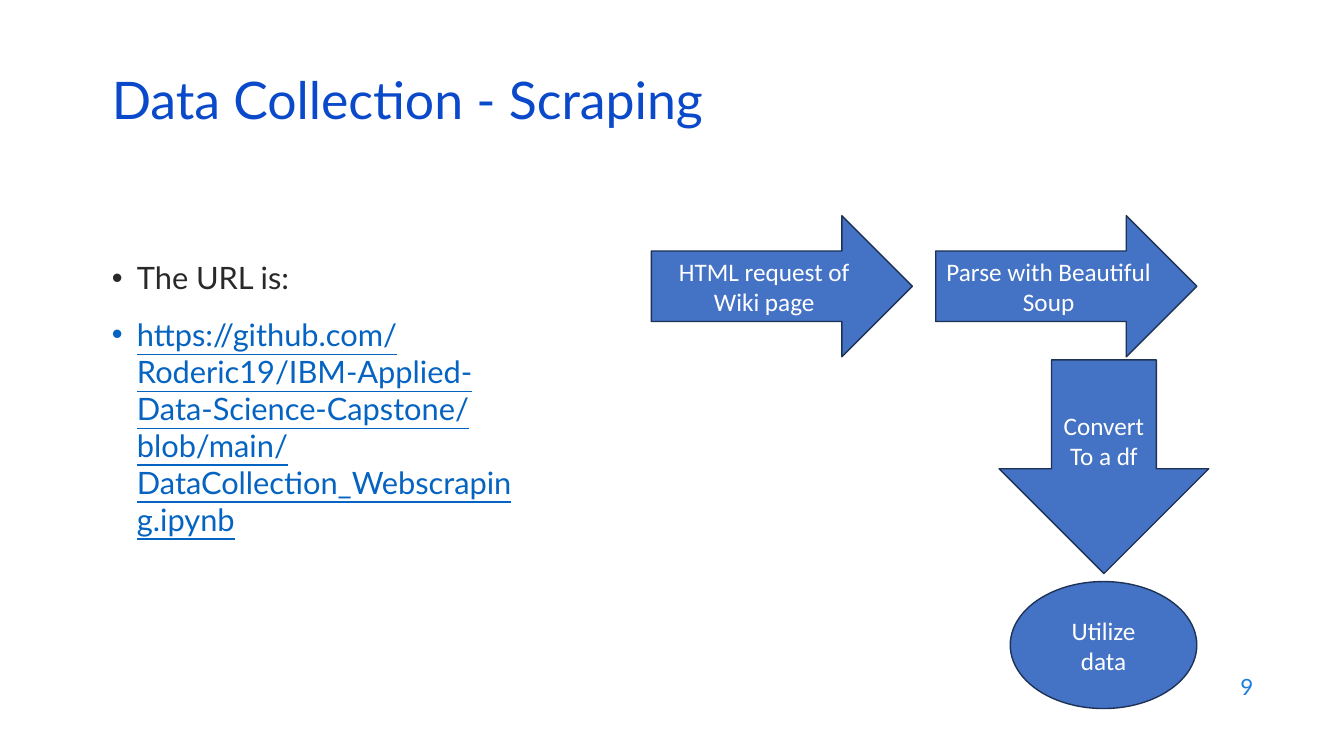
import pptx
import pptx.dml.color
import pptx.enum.shapes
import pptx.enum.text
import pptx.oxml
import pptx.oxml.ns
import pptx.util

SLIDE_WIDTH = pptx.util.Inches(13.33)
SLIDE_HEIGHT = pptx.util.Inches(7.5)
SHAPES = pptx.enum.shapes.MSO_SHAPE
ALIGN = pptx.enum.text.PP_ALIGN
ANCHOR = pptx.enum.text.MSO_ANCHOR

TITLE_BLUE = "0B49CB"
NUMBER_BLUE = "1C7DDB"
LINK_BLUE = "0563C1"
TEXT_DARK = "292929"
SHAPE_BLUE = "4472C4"
OUTLINE_NAVY = "1E3256"
WHITE = "FFFFFF"

LEFT_MARGIN = 7.58
STEP_LEFT, STEP_TOP, STEP_WIDTH, STEP_HEIGHT = 48.46, 28.53, 19.43, 18.67
STEP_PITCH = 21.16
URL = ("https://github.com/Roderic19/IBM-Applied-Data-Science-Capstone/"
       "blob/main/DataCollection_Webscraping.ipynb")


def color(code):
    return pptx.dml.color.RGBColor.from_string(code)


def area(left, top, width, height):
    """Turn percentages of the slide into lengths."""
    return (int(SLIDE_WIDTH * left / 100), int(SLIDE_HEIGHT * top / 100),
            int(SLIDE_WIDTH * width / 100), int(SLIDE_HEIGHT * height / 100))


def style(para, font, size, code, align=ALIGN.LEFT):
    para.alignment = align
    for span in para.runs:
        span.font.name = font
        span.font.size = pptx.util.Pt(size)
        span.font.color.rgb = color(code)


def add_text(page, place, text, size, code, align=ALIGN.LEFT, anchor=ANCHOR.MIDDLE):
    box = page.shapes.add_textbox(*area(*place))
    frame = box.text_frame
    frame.word_wrap = True
    frame.vertical_anchor = anchor
    frame.text = text
    for para in frame.paragraphs:
        style(para, "Lato", size, code, align)
    return frame


def add_bullet(para):
    properties = para._p.get_or_add_pPr()
    indent = pptx.util.Inches(0.25)
    properties.set("marL", str(indent))
    properties.set("indent", str(-indent))
    namespace = pptx.oxml.ns.nsdecls("a")
    for element in ('buFont %s typeface="Arial"', 'buChar %s char="•"'):
        properties.append(pptx.oxml.parse_xml(f"<a:{element % namespace}/>"))


def add_step(page, kind, place, text):
    shape = page.shapes.add_shape(kind, *area(*place))
    shape.shadow.inherit = False
    shape.fill.solid()
    shape.fill.fore_color.rgb = color(SHAPE_BLUE)
    shape.line.color.rgb = color(OUTLINE_NAVY)
    shape.line.width = pptx.util.Pt(1)
    frame = shape.text_frame
    frame.word_wrap = True
    frame.vertical_anchor = ANCHOR.MIDDLE
    frame.text = text
    for para in frame.paragraphs:
        style(para, "Calibri", 18, WHITE, ALIGN.CENTER)


def main():
    deck = pptx.Presentation()
    deck.slide_width, deck.slide_height = SLIDE_WIDTH, SLIDE_HEIGHT
    page = deck.slides.add_slide(deck.slide_layouts[6])

    add_text(page, (71.49, 87.87, 22.51, 5.87), "9", 16, NUMBER_BLUE, ALIGN.RIGHT)

    body = add_text(page, (LEFT_MARGIN, 33.6, 32.26, 48.13), f"The URL is:\n{URL}",
                    22, TEXT_DARK, anchor=ANCHOR.TOP)
    for para in body.paragraphs:
        add_bullet(para)
    link = body.paragraphs[1]
    link.space_before = pptx.util.Pt(14)
    link.runs[0].font.color.rgb = color(LINK_BLUE)
    link.runs[0].font.underline = True

    title = add_text(page, (LEFT_MARGIN, 10.13, 86.27, 8),
                     "Data Collection - Scraping", 37, TITLE_BLUE)
    title.paragraphs[0].line_spacing = 0.7

    for column, text in enumerate(("HTML request of Wiki page", "Parse with Beautiful Soup")):
        left = STEP_LEFT + column * STEP_PITCH
        add_step(page, SHAPES.RIGHT_ARROW, (left, STEP_TOP, STEP_WIDTH, STEP_HEIGHT), text)
    add_step(page, SHAPES.DOWN_ARROW, (74.34, 47.6, 15.6, 28.27), "Convert\nTo a df")
    add_step(page, SHAPES.OVAL, (75.17, 76.93, 13.88, 16.8), "Utilize data")

    deck.save("out.pptx")


if __name__ == "__main__":
    main()
